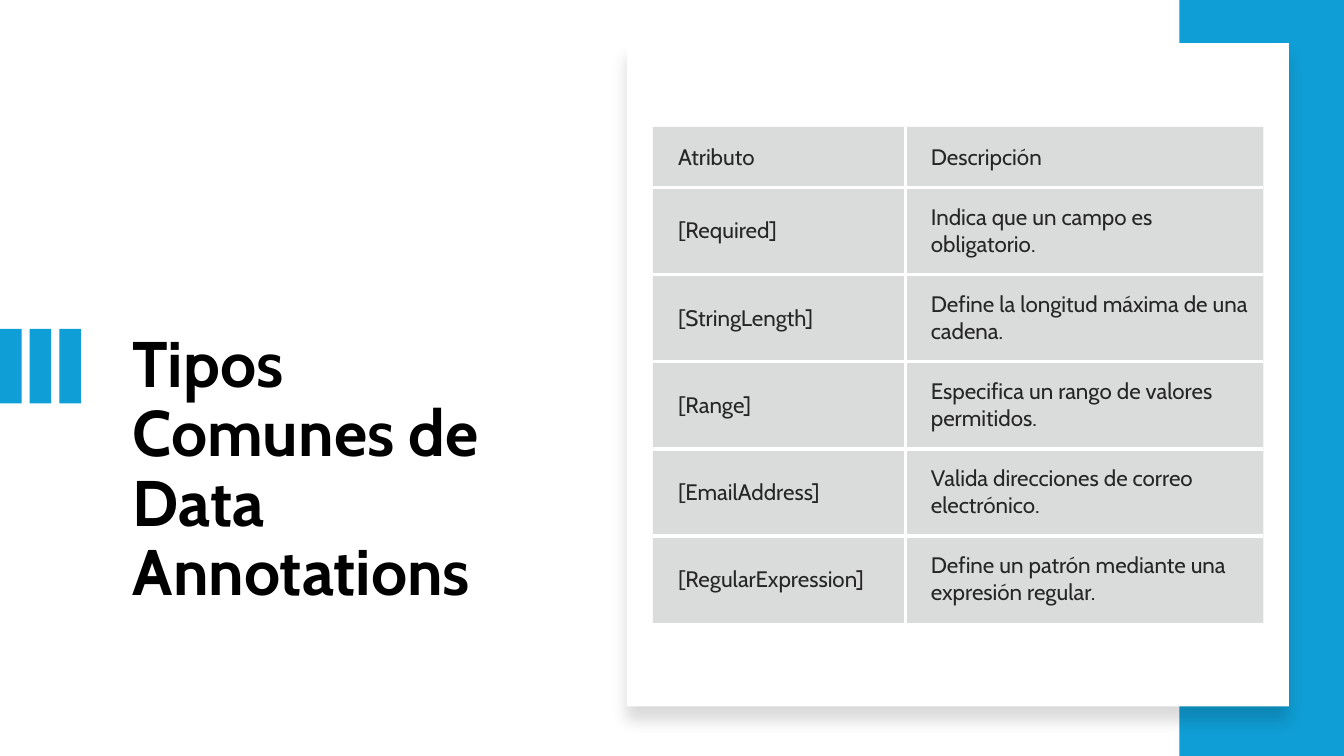
"""Build the slide listing common data annotation types."""
from dataclasses import dataclass

from lxml import etree
from pptx import Presentation
from pptx import util as u
from pptx.dml.color import RGBColor
from pptx.enum import shapes, text
from pptx.oxml import parse_xml
from pptx.oxml.ns import nsdecls, qn

COLORS = {"accent": "0F9ED5", "paper": "FFFFFF", "title": "000000",
          "cell": "878E8B", "body": "262626"}
FONT = "Cabin"
CELL_ALPHA = 30
BORDER_WIDTH = 3
ROWS = [
    ("Atributo", "Descripción"),
    ("[Required]", "Indica que un campo es obligatorio."),
    ("[StringLength]", "Define la longitud máxima de una cadena."),
    ("[Range]", "Especifica un rango de valores permitidos."),
    ("[EmailAddress]", "Valida direcciones de correo electrónico."),
    ("[RegularExpression]", "Define un patrón mediante una expresión regular."),
]
COLUMN_WIDTHS = (180.5, 255.5)
HEADER_HEIGHT, ROW_HEIGHT = 43.2, 62.2


@dataclass(frozen=True)
class Block:
    left: float
    top: float
    width: float
    height: float
    color: str = "accent"

    def box(self) -> tuple:
        return tuple(u.Pt(v) for v in (self.left, self.top, self.width, self.height))


BARS = [Block(21.2 * i, 234.9, 15.4, 53.3) for i in range(3) for i in [i * 1.0]] 
BARS = [Block(21.2 * i, 234.9, 15.4, 53.3) for i in range(3)]
SIDE_BAND = Block(842.4, 0, 117.6, 540)
CARD = Block(447.8, 30.8, 473, 473.8, "paper")
TITLE = Block(87.8, 233.3, 317.5, 188)
ATTRIBUTES = Block(466.4, 90.7, sum(COLUMN_WIDTHS),
                   HEADER_HEIGHT + ROW_HEIGHT * (len(ROWS) - 1))


def rgb(name: str) -> RGBColor:
    return RGBColor.from_string(COLORS[name])


def style_font(paragraph, size: float, color: str, bold: bool = False) -> None:
    paragraph.font.name = FONT
    paragraph.font.size = u.Pt(size)
    paragraph.font.bold = bold
    paragraph.font.color.rgb = rgb(color)


def draw_block(parent, block: Block):
    rectangle = parent.add_shape(shapes.MSO_SHAPE.RECTANGLE, *block.box())
    rectangle.shadow.inherit = False
    rectangle.fill.solid()
    rectangle.fill.fore_color.rgb = rgb(block.color)
    rectangle.line.fill.background()
    return rectangle


def cast_shadow(card) -> None:
    effects = card._element.spPr.find(qn("a:effectLst"))
    effects.append(parse_xml(
        f'<a:outerShdw {nsdecls("a")} blurRad="{u.Pt(11)}" dist="{u.Pt(10)}" '
        f'dir="5400000" algn="t" rotWithShape="0"><a:srgbClr val="{COLORS["title"]}">'
        '<a:alpha val="15000"/></a:srgbClr></a:outerShdw>'))


def draw_title(slide) -> None:
    frame = slide.shapes.add_textbox(*TITLE.box()).text_frame
    frame.word_wrap = True
    frame.vertical_anchor = text.MSO_ANCHOR.TOP
    heading = frame.paragraphs[0]
    heading.text = "Tipos Comunes de Data Annotations"
    heading.line_spacing = 0.9
    style_font(heading, 46, "title", bold=True)


def set_borders(cell, inner_sides: dict[str, bool]) -> None:
    properties = cell._tc.get_or_add_tcPr()
    for position, (side, inner) in enumerate(inner_sides.items()):
        paint = (f'<a:solidFill><a:srgbClr val="{COLORS["paper"]}"/></a:solidFill>'
                 if inner else "<a:noFill/>")
        properties.insert(position, parse_xml(
            f'<a:ln{side} {nsdecls("a")} w="{u.Pt(BORDER_WIDTH)}">{paint}</a:ln{side}>'))


def fill_cell(cell, wording: str) -> None:
    cell.text = wording
    cell.vertical_anchor = text.MSO_ANCHOR.MIDDLE
    cell.margin_left = u.Pt(18)
    cell.margin_top = cell.margin_right = cell.margin_bottom = u.Pt(10.8)
    style_font(cell.text_frame.paragraphs[0], 16, "body")
    cell.fill.solid()
    cell.fill.fore_color.rgb = rgb("cell")
    tint = cell._tc.tcPr.find(qn("a:solidFill")).find(qn("a:srgbClr"))
    etree.SubElement(tint, qn("a:alpha")).set("val", str(CELL_ALPHA * 1000))


def draw_attributes(slide) -> None:
    table = slide.shapes.add_table(len(ROWS), len(COLUMN_WIDTHS), *ATTRIBUTES.box()).table
    table.first_row = table.horz_banding = False
    for column, width in zip(table.columns, COLUMN_WIDTHS):
        column.width = u.Pt(width)
    for r, wordings in enumerate(ROWS):
        table.rows[r].height = u.Pt(ROW_HEIGHT if r else HEADER_HEIGHT)
        for c, wording in enumerate(wordings):
            cell = table.cell(r, c)
            fill_cell(cell, wording)
            set_borders(cell, {"L": c > 0, "R": c < len(wordings) - 1,
                               "T": r > 0, "B": r < len(ROWS) - 1})


def main() -> None:
    deck = Presentation()
    deck.slide_width, deck.slide_height = u.Pt(960), u.Pt(540)
    slide = deck.slides.add_slide(deck.slide_layouts[6])
    draw_title(slide)
    bar_group = slide.shapes.add_group_shape()
    for bar in BARS:
        draw_block(bar_group.shapes, bar)
    draw_block(slide.shapes, SIDE_BAND)
    cast_shadow(draw_block(slide.shapes, CARD))
    draw_attributes(slide)
    deck.save("out.pptx")


if __name__ == "__main__":
    main()
